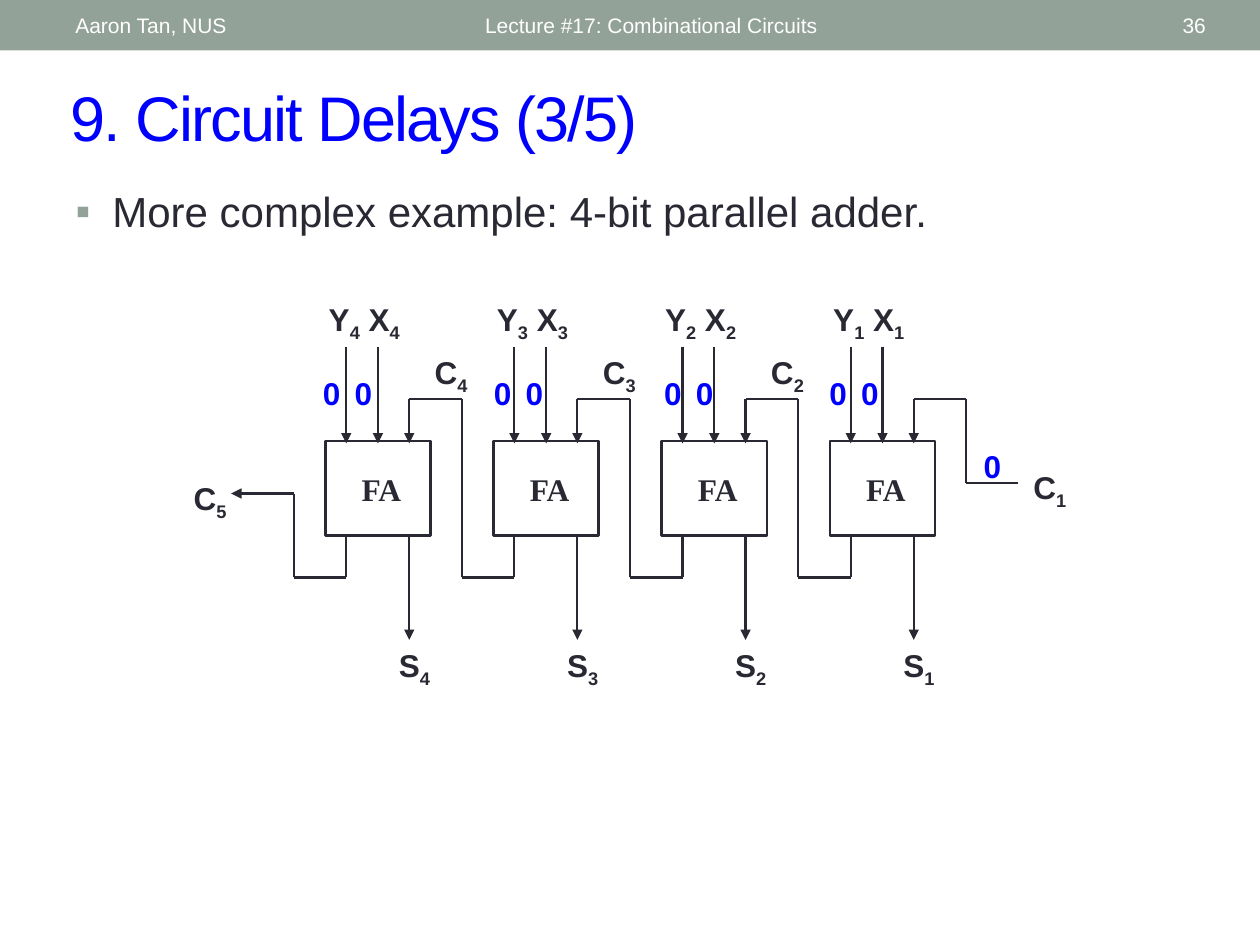
from itertools import groupby, pairwise
from pptx import Presentation
from pptx.dml.color import RGBColor as Rgb
from pptx.enum.shapes import MSO_CONNECTOR as Link, MSO_SHAPE as Shape
from pptx.enum.text import MSO_ANCHOR as Anchor, PP_ALIGN as Align
from pptx.oxml.ns import qn
from pptx.util import Cm, Pt
from lxml.etree import SubElement as Sub

HUES = {
    "band": "93A299", "ink": "292934", "blue": "0000FF", "white": "FFFFFF",
}
HUES = {name: Rgb.from_string(code) for name, code in HUES.items()}

deck = Presentation()
deck.slide_width, deck.slide_height = Cm(25.4), Cm(19.05)
slide = deck.slides.add_slide(deck.slide_layouts[1])
shapes = slide.shapes


def label(text, x, y, width, hue="ink", face="Arial"):
    """Add a bold centred label whose digits 1 to 5 are subscripts."""
    box = shapes.add_textbox(Cm(x), Cm(y), Cm(width), Cm(1.02))
    box.text_frame.word_wrap = True
    para = box.text_frame.paragraphs[0]
    para.alignment = Align.CENTER
    for low, chars in groupby(text, lambda char: char in "12345"):
        run = para.add_run()
        run.text = "".join(chars)
        font = run.font
        font.name, font.size, font.bold = face, Pt(18), True
        font.color.rgb = HUES[hue]
        if low:
            run._r.get_or_add_rPr().set("baseline", "-25000")


def wire(*points, arrow=True):
    """Join the points with straight lines, with an arrow at the last."""
    for start, end in pairwise(points):
        line = shapes.add_connector(
            Link.STRAIGHT, *[Cm(v) for v in start + end])
        line.line.color.rgb = HUES["ink"]
        line.line.width = Pt(1.25)
        if arrow and end == points[-1]:
            Sub(line.line._get_or_add_ln(), qn("a:tailEnd"), type="triangle")
        Sub(line._element.spPr, qn("a:effectLst"))


# Header band
band = shapes.add_shape(Shape.RECTANGLE, 0, 0, deck.slide_width, Cm(1.02))
band.shadow.inherit = False
band.fill.solid()
band.fill.fore_color.rgb = HUES["band"]
band.line.fill.background()

for text, x, width, align in (
    ("Aaron Tan, NUS", 1.27, 8.05, Align.LEFT),
    ("Lecture #17: Combinational Circuits", 9.53, 11.43, Align.LEFT),
    ("36", 22.15, 2.41, Align.RIGHT),
):
    box = shapes.add_textbox(Cm(x), Cm(0.05), Cm(width), Cm(0.91))
    frame = box.text_frame
    frame.word_wrap = True
    frame.vertical_anchor = Anchor.MIDDLE
    frame.text = text
    para = frame.paragraphs[0]
    para.alignment = align
    font = para.runs[0].font
    font.name, font.size = "Arial", Pt(12)
    font.color.rgb = HUES["white"]

# Title and bullet
title, body = shapes.title, slide.placeholders[1]
for holder, text, place, size, hue in (
    (title, "9. Circuit Delays (3/5)", (1.17, 1.45, 23.39, 1.78), 36, "blue"),
    (body, "More complex example: 4-bit parallel adder.",
     (1.27, 3.61, 22.86, 1.91), 24, "ink"),
):
    holder.left, holder.top, holder.width, holder.height = map(Cm, place)
    holder.text_frame.text = text
    para = holder.text_frame.paragraphs[0]
    para.alignment = Align.LEFT
    font = para.runs[0].font
    font.name, font.size = "Arial", Pt(size)
    font.color.rgb = HUES[hue]

title.text_frame.vertical_anchor = Anchor.MIDDLE
title.text_frame.paragraphs[0].runs[0]._r.get_or_add_rPr().set("spc", "-100")

para = body.text_frame.paragraphs[0]
para.space_before = Pt(4.8)
props = para._p.get_or_add_pPr()
props.set("marL", str(Cm(0.74)))
props.set("indent", str(Cm(-0.74)))
Sub(Sub(props, qn("a:buClr")), qn("a:srgbClr"), val=str(HUES["band"]))
Sub(props, qn("a:buFont"), typeface="Arial")
Sub(props, qn("a:buChar"), char="\u25aa")

# Four full adders, bit 4 at the left
LEFT, PITCH = 6.56, 3.39
WIDE, TOP, BASE = 2.12, 8.89, 10.8
PIN_Y, PIN_X, PIN_C = 0.42, 1.06, 1.69
HEAD, TIP, OVER, UNDER = 6.99, 8.94, 8.04, 11.64
ZEROS = (6.15, 9.6, 13.03, 16.36)

for col, zero in enumerate(ZEROS):
    bit = 4 - col
    x = LEFT + col * PITCH
    adder = shapes.add_shape(
        Shape.RECTANGLE, Cm(x), Cm(TOP), Cm(WIDE), Cm(BASE - TOP))
    adder.shadow.inherit = False
    adder.fill.background()
    adder.line.color.rgb = HUES["ink"]
    adder.line.width = Pt(1.5)
    label("FA", x + 0.28, 9.35, 1.7, face="Times New Roman")

    label(f"Y{bit} X{bit}", x - 0.42, 5.92, 2.41)
    for pin in (PIN_Y, PIN_X):
        wire((x + pin, HEAD), (x + pin, TIP))
    for shift in (0, 0.64):
        label("0", zero + shift, 7.42, 1.07, "blue")

    wire((x + PIN_C, BASE), (x + PIN_C, 12.9))
    label(f"S{bit}", x + 1.06, 12.9, 1.47)

    # Carry in: from the next adder, or from C1 at the right end
    bend = x + 2.75
    if bit > 1:
        source = x + PITCH + PIN_Y
        feed = [(source, BASE), (source, UNDER), (bend, UNDER)]
        label(f"C{bit}", x + 1.9, HEAD, 1.27)
    else:
        feed = [(20.53, 9.74), (bend, 9.74)]
    wire(*feed, (bend, OVER), (x + PIN_C, OVER), (x + PIN_C, TIP))

# Ends of the carry chain
label("C1", 20.53, 9.32, 1.27)
label("0", 19.47, 8.89, 1.07, "blue")
out, turn = LEFT + PIN_Y, 5.93
wire((out, BASE), (out, UNDER), (turn, UNDER), (turn, 9.95), (4.66, 9.95))
label("C5", 3.6, 9.53, 1.27)

deck.save("out.pptx")
